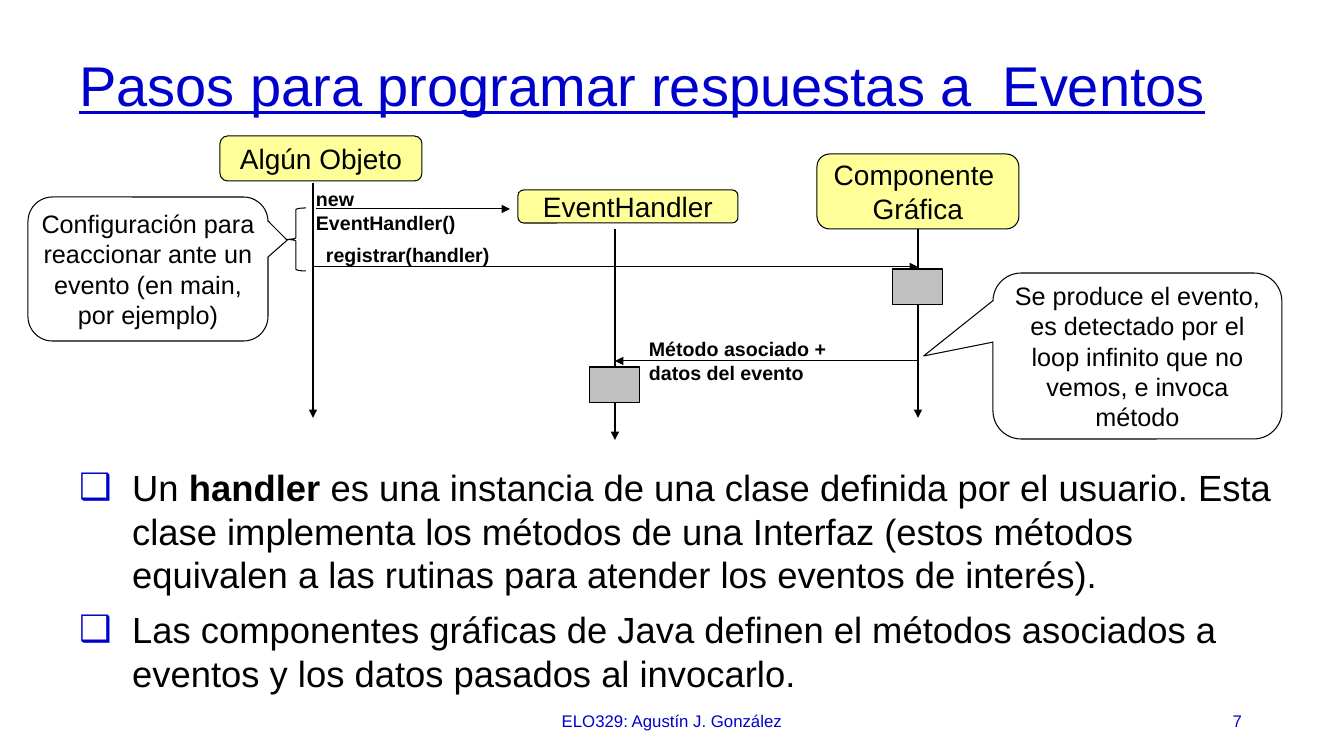
import pptx
import pptx.util
import pptx.dml.color
import pptx.enum.shapes
import pptx.enum.text
import pptx.oxml
import pptx.oxml.ns

RGB = pptx.dml.color.RGBColor
BLACK = RGB(0x00, 0x00, 0x00)
BLUE = RGB(0x00, 0x00, 0xCC)
YELLOW = RGB(0xFF, 0xFF, 0x99)
GRAY = RGB(0xC0, 0xC0, 0xC0)
SHAPE = pptx.enum.shapes.MSO_SHAPE
ALIGN = pptx.enum.text.PP_ALIGN
ANCHOR = pptx.enum.text.MSO_ANCHOR
STRAIGHT = pptx.enum.shapes.MSO_CONNECTOR.STRAIGHT
SCALE = 914400 / 100.8
FONT = "Arial"


def px(length):
    return round(length * SCALE)


def apply(target, formats):
    for name, value in formats.items():
        setattr(target, name, value)


def place(shape, box):
    apply(shape, dict(zip(("left", "top", "width", "height"), map(px, box))))


def add_span(para, text, size, color=BLACK, **formats):
    for index, part in enumerate(text.split("\n")):
        if index:
            para.add_line_break()
        span = para.add_run()
        span.text = part
        apply(span.font, {"name": FONT, "size": pptx.util.Pt(size), **formats})
        span.font.color.rgb = color


def write(shape, lines, size, color=BLACK, align=ALIGN.LEFT, frame_formats=None, **formats):
    frame = shape.text_frame
    apply(frame, {"word_wrap": True, **(frame_formats or {})})
    for index, line in enumerate(lines):
        para = frame.add_paragraph() if index else frame.paragraphs[0]
        para.alignment = align
        add_span(para, line, size, color, **formats)


def add_label(page, box, lines, size=14, **formats):
    label = page.shapes.add_textbox(*map(px, box))
    write(label, lines, size, **formats)


def add_outline(page, kind, box, fill=None, adjustments=()):
    shape = page.shapes.add_shape(kind, *map(px, box))
    shape.shadow.inherit = False
    if fill is None:
        shape.fill.background()
    else:
        shape.fill.solid()
        shape.fill.fore_color.rgb = fill
    shape.line.width = pptx.util.Pt(0.75)
    shape.line.color.rgb = BLACK
    for index, value in enumerate(adjustments):
        shape.adjustments[index] = value
    return shape


def add_arrow(page, start, end):
    arrow = page.shapes.add_connector(STRAIGHT, *map(px, start + end))
    arrow.line.width = pptx.util.Pt(0.75)
    arrow.line.color.rgb = BLACK
    tail = pptx.oxml.parse_xml(
        f'<a:tailEnd {pptx.oxml.ns.nsdecls("a")} type="triangle"/>')
    arrow.line._get_or_add_ln().append(tail)
    arrow._element.spPr.append(
        pptx.oxml.parse_xml(f'<a:effectLst {pptx.oxml.ns.nsdecls("a")}/>'))


def add_callout(page, box, text, pointer):
    callout = add_outline(page, SHAPE.ROUNDED_RECTANGULAR_CALLOUT, box,
                          adjustments=(*pointer, 0.17))
    margins = {f"margin_{side}": px(4) for side in ("left", "right", "top", "bottom")}
    write(callout, [text], 18, align=ALIGN.CENTER,
          frame_formats={"vertical_anchor": ANCHOR.MIDDLE, **margins})


def fill_title(page, box):
    title = page.shapes.title
    place(title, box)
    write(title, ["Pasos para programar respuestas a  Eventos"], 40, BLUE,
          frame_formats={"vertical_anchor": ANCHOR.MIDDLE,
                         "auto_size": pptx.enum.text.MSO_AUTO_SIZE.NONE},
          underline=True)
    title.text_frame.paragraphs[0].line_spacing = 0.9


def draw_sequence(page, box):
    left, top, width, height = box

    def at(x, y, *size):
        return (left + x, top + y, *size)

    object_x, handler_x, component_x = 285, 587, 890
    participants = (
        ((192, 0, 202, 45), ["Algún Objeto"]),
        ((789, 18, 202, 75), ["Componente ", "Gráfica"]),
        ((490, 54, 220, 33), ["EventHandler"]),
    )
    for area, lines in participants:
        shape = add_outline(page, SHAPE.ROUNDED_RECTANGLE, at(*area), YELLOW, (0.17,))
        write(shape, lines, 20, align=ALIGN.CENTER,
              frame_formats={"word_wrap": False, "vertical_anchor": ANCHOR.MIDDLE})

    arrows = (
        ((object_x, 47), (object_x, 282)),
        ((handler_x, 93), (handler_x, 304)),
        ((component_x, 93), (component_x, 282)),
        ((288, 73), (482, 73)),
        ((object_x, 131), (component_x, 131)),
        ((component_x, 225), (handler_x, 225)),
    )
    for start, end in arrows:
        add_arrow(page, at(*start), at(*end))

    for center, y in ((component_x, 133), (handler_x, 231)):
        add_outline(page, SHAPE.RECTANGLE, at(center - 25, y, 50, 36), GRAY)

    messages = (
        ((278, 46, 244, 61), ["new ", "EventHandler()"]),
        ((288, 102, 244, 34), ["registrar(handler)"]),
        ((611, 196, 265, 61), ["Método asociado +\ndatos del evento"]),
    )
    for area, lines in messages:
        add_label(page, at(*area), lines, bold=True, frame_formats={"word_wrap": False})

    add_outline(page, SHAPE.LEFT_BRACE, at(258, 72, 20, 63))
    add_callout(page, at(0, 61, 240, 144),
                "Configuración para reaccionar ante un evento (en main, por ejemplo)",
                (0.58, -0.2))
    add_callout(page, at(width - 289, 137, 289, 166),
                "Se produce el evento, es detectado por el loop infinito que no vemos, "
                "e invoca método", (-0.74, 0))


def fill_body(page, box):
    body = page.placeholders[1]
    place(body, box)
    frame = body.text_frame
    apply(frame, {"word_wrap": True, "auto_size": pptx.enum.text.MSO_AUTO_SIZE.NONE})
    items = (
        (("Un ", False), ("handler", True),
         (" es una instancia de una clase definida por el usuario. Esta clase implementa "
          "los métodos de una Interfaz (estos métodos equivalen a las rutinas para atender "
          "los eventos de interés).", False)),
        (("Las componentes gráficas de Java definen el métodos asociados a eventos y los "
          "datos pasados al invocarlo.", False),),
    )
    for index, spans in enumerate(items):
        para = frame.add_paragraph() if index else frame.paragraphs[0]
        apply(para, {"space_before": pptx.util.Pt(4), "space_after": pptx.util.Pt(4)})
        for text, bold in spans:
            add_span(para, text, 26, bold=bold)
        properties = para._p.get_or_add_pPr()
        properties.set("marL", str(px(53)))
        properties.set("indent", str(px(-53)))
        namespace = pptx.oxml.ns.nsdecls("a")
        for xml in (f'<a:buClr {namespace}><a:srgbClr val="{BLUE}"/></a:buClr>',
                    f'<a:buChar {namespace} char="❑"/>'):
            properties.append(pptx.oxml.parse_xml(xml))


def add_footer(page, box):
    left, top, width, height = box
    middle = {"vertical_anchor": ANCHOR.MIDDLE}
    add_label(page, (left, top, 454, height), ["ELO329: Agustín J. González"], 12,
              color=BLUE, align=ALIGN.CENTER, frame_formats=middle)
    add_label(page, (left + width - 302, top, 302, height), ["7"], 12,
              color=BLUE, align=ALIGN.RIGHT, frame_formats=middle)


deck = pptx.Presentation()
apply(deck, {"slide_width": px(1344), "slide_height": px(756)})
page = deck.slides.add_slide(deck.slide_layouts[1])
fill_title(page, (69, 40, 1218, 96))
draw_sequence(page, (28, 136, 1254, 304))
fill_body(page, (69, 460, 1218, 241))
add_footer(page, (445, 701, 807, 40))
deck.save("out.pptx")
